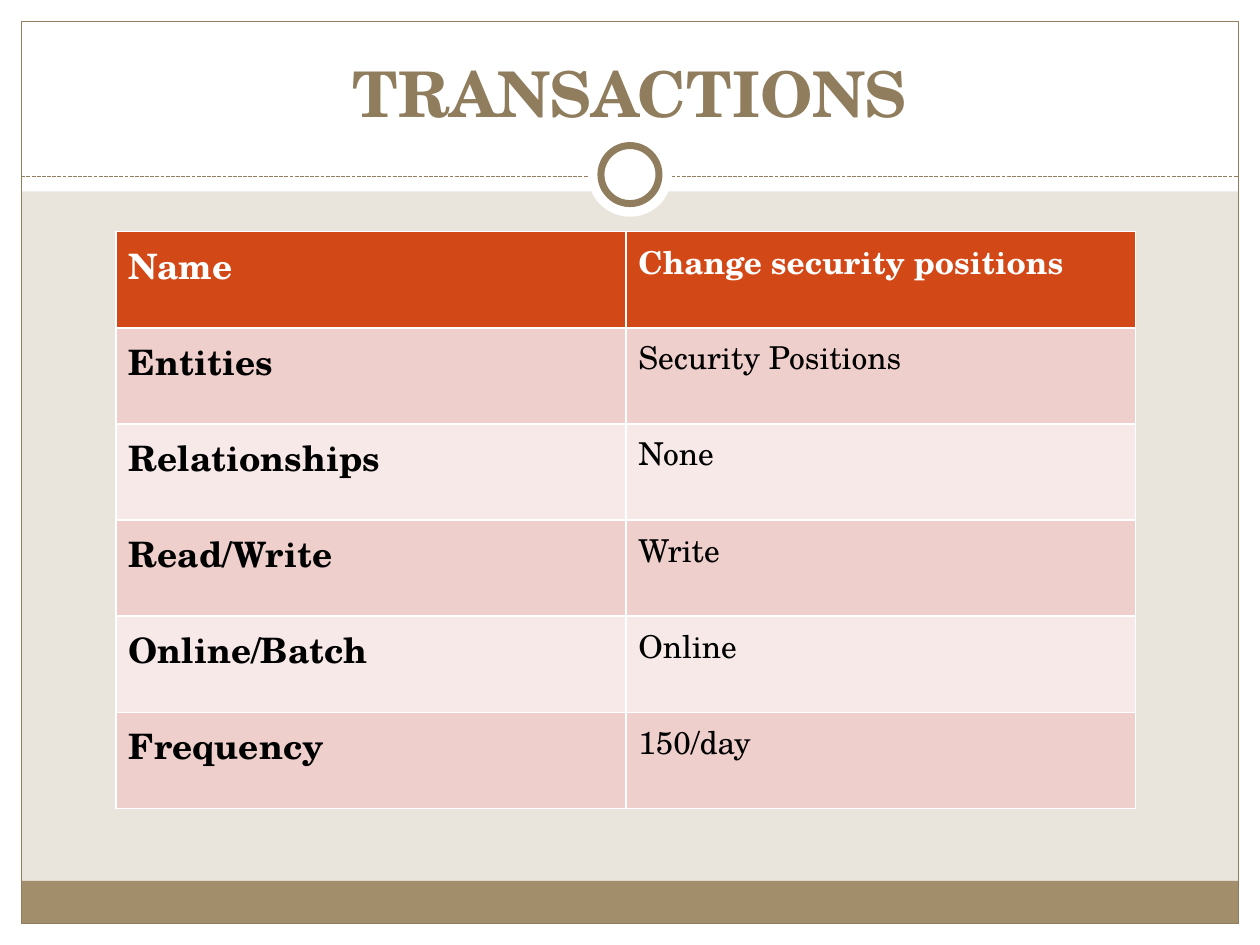
from dataclasses import dataclass

from lxml import etree
from pptx import Presentation
from pptx import util as u
from pptx.dml.color import RGBColor
from pptx.enum import dml, shapes, text
from pptx.oxml.ns import qn


@dataclass(frozen=True)
class Theme:
    """Colours, font and type sizes of the slide."""
    font: str = "TeX Gyre Schola"
    white: str = "FFFFFF"
    black: str = "000000"
    background: str = "E9E5DC"
    footer: str = "A28E6A"
    accent: str = "8F7D5E"
    header: str = "D34817"
    bands: tuple = ("EFCFCC", "F7E9E8")
    title_size: int = 36
    label_size: int = 20
    value_size: int = 18


THEME = Theme()
WIDTH, HEIGHT, MARGIN = 25.4, 19.05, 0.43
ROWS = [
    ("Name", "Change security positions"),
    ("Entities", "Security Positions"),
    ("Relationships", "None"),
    ("Read/Write", "Write"),
    ("Online/Batch", "Online"),
    ("Frequency", "150/day"),
]


def set_format(target, values):
    """Set each attribute named in values on the target."""
    for name, value in values.items():
        setattr(target, name, value)


def paint(fill, color):
    """Make a fill solid in the given colour."""
    fill.solid()
    fill.fore_color.rgb = RGBColor.from_string(color)


def write(frame, words, size, color, bold, alignment=None):
    """Write one formatted paragraph into a text frame."""
    paragraph = frame.paragraphs[0]
    paragraph.alignment = alignment
    run = paragraph.add_run()
    run.text = words
    set_format(run.font, {"name": THEME.font, "size": u.Pt(size), "bold": bold})
    run.font.color.rgb = RGBColor.from_string(color)


def add_block(slide, box, fill=None, line=None, width=0.75,
              kind=shapes.MSO_SHAPE.RECTANGLE):
    """Add a preset shape with an optional fill and outline."""
    shape = slide.shapes.add_shape(kind, *map(u.Cm, box))
    shape.shadow.inherit = False
    if fill:
        paint(shape.fill, fill)
    else:
        shape.fill.background()
    if line:
        paint(shape.line.fill, line)
        shape.line.width = u.Pt(width)
    else:
        shape.line.fill.background()


def add_frame(slide, box):
    """Draw white margins, the footer band and the outline within the box."""
    left, top, width, height = box
    inner_width, inner_height = width - 2 * MARGIN, height - 2 * MARGIN
    footer_height = 0.86
    for margin in (
        (left, top + height - MARGIN, width, MARGIN),
        (left, top, width, 3.86),
        (left, top, MARGIN, height),
        (left + width - MARGIN, top, MARGIN, height),
    ):
        add_block(slide, margin, THEME.white)
    footer_top = top + height - MARGIN - footer_height
    add_block(slide, (left + MARGIN, footer_top, inner_width, footer_height), THEME.footer)
    add_block(slide, (left + MARGIN, top + MARGIN, inner_width, inner_height),
              line=THEME.accent)


def add_divider(slide, box):
    """Draw a dashed rule with a ring at the centre of the box."""
    left, top, width, height = box
    rule_top = top + 0.89
    rule = slide.shapes.add_connector(
        shapes.MSO_CONNECTOR.STRAIGHT,
        *map(u.Cm, (left, rule_top, left + width, rule_top)))
    paint(rule.line.fill, THEME.accent)
    set_format(rule.line, {"width": u.Pt(0.75),
                           "dash_style": dml.MSO_LINE.SQUARE_DOT})
    etree.SubElement(rule._element.spPr, qn("a:effectLst"))
    for diameter, line in ((height, None), (1.17, THEME.accent)):
        circle = (left + (width - diameter) / 2, top + (height - diameter) / 2,
                  diameter, diameter)
        add_block(slide, circle, THEME.white, line, 4, shapes.MSO_SHAPE.OVAL)


def add_title(slide, box, words):
    """Add the centred title at the bottom of the box."""
    frame = slide.shapes.add_textbox(*map(u.Cm, box)).text_frame
    set_format(frame, {"word_wrap": True, "vertical_anchor": text.MSO_ANCHOR.BOTTOM})
    write(frame, words, THEME.title_size, THEME.accent, True, text.PP_ALIGN.CENTER)


def add_borders(cell):
    """Give a cell white borders, placed before its fill."""
    properties = cell._tc.get_or_add_tcPr()
    for index, side in enumerate(("lnL", "lnR", "lnT", "lnB")):
        line = etree.Element(qn(f"a:{side}"), w=str(u.Pt(1)))
        fill = etree.SubElement(line, qn("a:solidFill"))
        etree.SubElement(fill, qn("a:srgbClr"), val=THEME.white)
        properties.insert(index, line)


def add_details(slide, box, rows):
    """Add the table of labels and values, filling the box."""
    table = slide.shapes.add_table(len(rows), len(rows[0]), *map(u.Cm, box)).table
    for row, entries in enumerate(rows):
        is_header = row == 0
        fill = THEME.header if is_header else THEME.bands[(row - 1) % 2]
        color = THEME.white if is_header else THEME.black
        for column, words in enumerate(entries):
            cell = table.cell(row, column)
            is_label = column == 0
            size = THEME.label_size if is_label else THEME.value_size
            paint(cell.fill, fill)
            add_borders(cell)
            write(cell.text_frame, words, size, color, is_header or is_label)


def build():
    """Build and save the presentation."""
    presentation = Presentation()
    set_format(presentation, {"slide_width": u.Cm(WIDTH), "slide_height": u.Cm(HEIGHT)})
    slide = presentation.slides.add_slide(presentation.slide_layouts[6])
    paint(slide.background.fill, THEME.background)
    add_frame(slide, (0, 0, WIDTH, HEIGHT))
    add_divider(slide, (MARGIN, 2.67, WIDTH - 2 * MARGIN, 1.7))
    add_title(slide, (0.85, 0.64, 23.7, 2.11), "TRANSACTIONS")
    add_details(slide, (2.34, 4.67, 20.55, 11.63), ROWS)
    presentation.save("out.pptx")


build()
